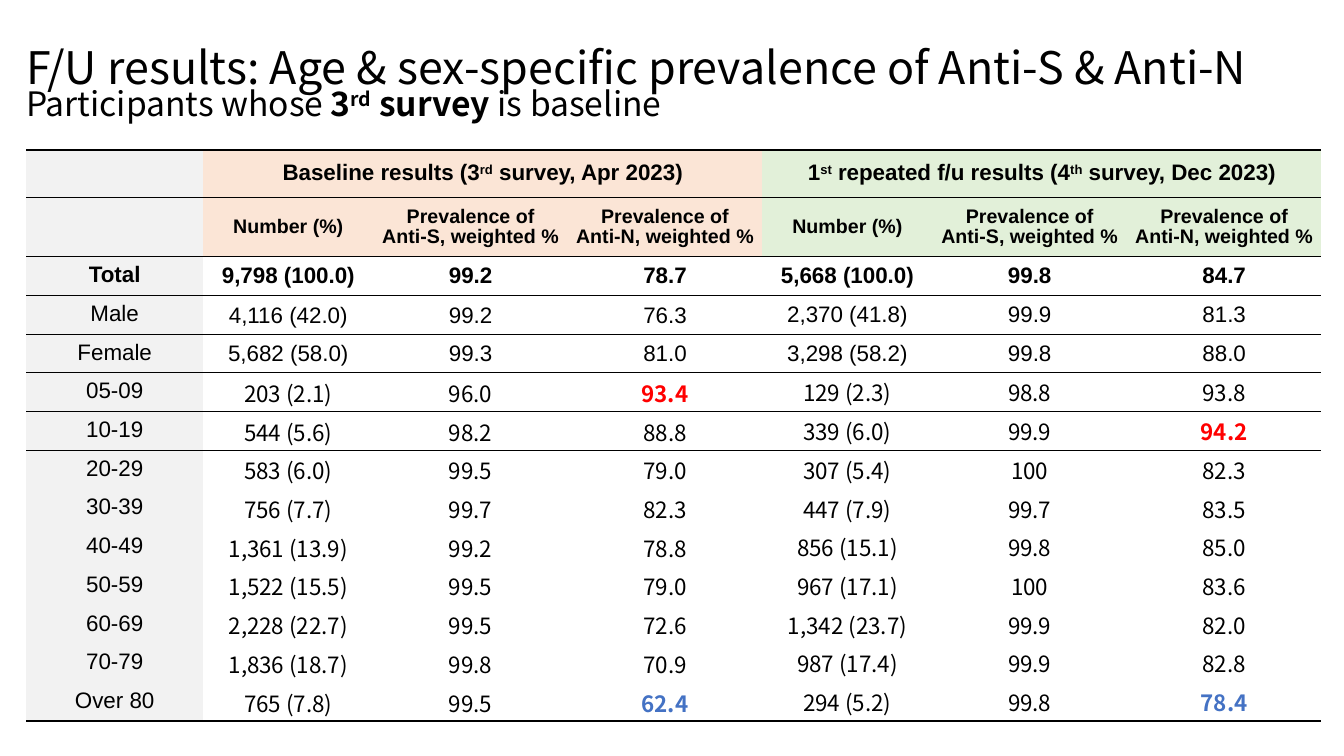
from lxml.etree import SubElement
from pptx import Presentation
from pptx.dml.color import RGBColor
from pptx.enum.text import MSO_ANCHOR, PP_ALIGN
from pptx.oxml import parse_xml
from pptx.oxml.ns import nsdecls, qn
from pptx.util import Cm, Pt

SANS, NOTO = "Arial", "Noto Sans CJK KR"
BLACK, RED, BLUE = "000000", "FF0000", "4472C4"
GREY, PEACH, GREEN = "F2F2F2", "FBE5D6", "E2F0D9"
NO_GRID_STYLE = "{2D5ABB26-0587-4C30-8999-92F81FD0307C}"

# ^ marks the start and end of a superscript
SURVEYS = [(1, "Baseline results (3^rd^ survey, Apr 2023)", PEACH),
           (4, "1^st^ repeated f/u results (4^th^ survey, Dec 2023)", GREEN)]
MEASURES = ["Number (%)", "Prevalence of\nAnti-S, weighted %",
            "Prevalence of\nAnti-N, weighted %"]
RESULTS = [
    ("Total", "9,798 (100.0)", "99.2", "78.7", "5,668 (100.0)", "99.8", "84.7"),
    ("Male", "4,116 (42.0)", "99.2", "76.3", "2,370 (41.8)", "99.9", "81.3"),
    ("Female", "5,682 (58.0)", "99.3", "81.0", "3,298 (58.2)", "99.8", "88.0"),
    ("05-09", "203 (2.1)", "96.0", "93.4", "129 (2.3)", "98.8", "93.8"),
    ("10-19", "544 (5.6)", "98.2", "88.8", "339 (6.0)", "99.9", "94.2"),
    ("20-29", "583 (6.0)", "99.5", "79.0", "307 (5.4)", "100", "82.3"),
    ("30-39", "756 (7.7)", "99.7", "82.3", "447 (7.9)", "99.7", "83.5"),
    ("40-49", "1,361 (13.9)", "99.2", "78.8", "856 (15.1)", "99.8", "85.0"),
    ("50-59", "1,522 (15.5)", "99.5", "79.0", "967 (17.1)", "100", "83.6"),
    ("60-69", "2,228 (22.7)", "99.5", "72.6", "1,342 (23.7)", "99.9", "82.0"),
    ("70-79", "1,836 (18.7)", "99.8", "70.9", "987 (17.4)", "99.9", "82.8"),
    ("Over 80", "765 (7.8)", "99.5", "62.4", "294 (5.2)", "99.8", "78.4"),
]
FIRST_RESULT, FIRST_SEX, FIRST_AGE = 2, 3, 5
HIGHLIGHTS = {(5, 3): RED, (6, 6): RED, (13, 3): BLUE, (13, 6): BLUE}
RULED_ROWS = (0, 1, 2, 3, 5, 6)
COLUMN_WIDTHS = [Cm(4.46)] + [Cm(4.29), Cm(4.9), Cm(4.9)] * 2
BODY_HEIGHT = Cm(11.7)


def colour(value):
    return RGBColor.from_string(value)


def add_text(para, text, size, font, bold=False, ink=BLACK):
    for part, words in enumerate(text.split("^")):
        for line, piece in enumerate(words.split("\n")):
            if line:
                para.add_line_break()
            if not piece:
                continue
            span = para.add_run()
            span.text = piece
            span.font.size = Pt(size)
            span.font.name = font
            span.font.bold = bold
            span.font.color.rgb = colour(ink)
            if part % 2:
                span.font._element.set("baseline", "30000")


def add_title(page):
    box = page.shapes.add_textbox(Cm(0.41), Cm(0.48), Cm(32.84), Cm(3.43))
    frame = box.text_frame
    frame.word_wrap = True
    frame.vertical_anchor = MSO_ANCHOR.MIDDLE
    para = frame.paragraphs[0]
    para.line_spacing = 0.76
    add_text(para, "F/U results: Age & sex-specific prevalence of Anti-S & Anti-N\n", 32, NOTO)
    add_text(para, "Participants whose ", 24, NOTO)
    add_text(para, "3^rd^ survey ", 24, NOTO, bold=True)
    add_text(para, "is baseline", 24, NOTO)


def fill_cell(cell, fill):
    if fill:
        cell.fill.solid()
        cell.fill.fore_color.rgb = colour(fill)
    else:
        cell.fill.background()


def write_cell(cell, text, size, font=SANS, bold=False, ink=BLACK, spacing=0.9, tight=False):
    cell.vertical_anchor = MSO_ANCHOR.MIDDLE
    cell.margin_left = cell.margin_right = Cm(0.03 if tight else 0.18)
    cell.margin_top = Cm(0.03 if tight else 0.05)
    cell.margin_bottom = Cm(0 if tight else 0.05)
    para = cell.text_frame.paragraphs[0]
    para.alignment = PP_ALIGN.CENTER
    para.line_spacing = spacing
    add_text(para, text, size, font, bold, ink)


def rule_cell(cell, side, points):
    line = parse_xml(f'<a:ln{side} {nsdecls("a")} w="{Pt(points)}"/>')
    ink = SubElement(SubElement(line, qn("a:solidFill")), qn("a:srgbClr"))
    ink.set("val", BLACK)
    properties = cell._tc.get_or_add_tcPr()
    properties.insert(len(properties.findall(qn("a:lnT"))), line)


def rule_table(table):
    last = len(table.rows) - 1
    for column in range(len(table.columns)):
        for row in RULED_ROWS:
            rule_cell(table.cell(row, column), "T", 1 if row else 1.5)
            if row:
                rule_cell(table.cell(row - 1, column), "B", 1)
        rule_cell(table.cell(last, column), "B", 1)


def add_results_table(page):
    heights = [Cm(1.19), Cm(1.49)] + [BODY_HEIGHT // len(RESULTS)] * len(RESULTS)
    holder = page.shapes.add_table(len(heights), len(COLUMN_WIDTHS), Cm(0.66), Cm(3.79),
                                   sum(COLUMN_WIDTHS), sum(heights))
    table = holder.table
    table.first_row = table.horz_banding = False
    table._tbl.tblPr.find(qn("a:tableStyleId")).text = NO_GRID_STYLE
    for column, width in zip(table.columns, COLUMN_WIDTHS):
        column.width = width
    for row, height in zip(table.rows, heights):
        row.height = height

    # Headings
    for row in range(FIRST_RESULT):
        fill_cell(table.cell(row, 0), GREY)
    for start, survey, fill in SURVEYS:
        table.cell(0, start).merge(table.cell(0, start + 2))
        write_cell(table.cell(0, start), survey, 16, bold=True)
        for column, measure in enumerate(MEASURES, start):
            fill_cell(table.cell(0, column), fill)
            fill_cell(table.cell(1, column), fill)
            write_cell(table.cell(1, column), measure, 14, bold=True)

    # Results
    for row, values in enumerate(RESULTS, FIRST_RESULT):
        for column, value in enumerate(values):
            cell = table.cell(row, column)
            ink = HIGHLIGHTS.get((row, column), BLACK)
            fill_cell(cell, None if column else GREY)
            write_cell(cell, value, 16,
                       font=NOTO if column and row >= FIRST_AGE else SANS,
                       bold=row == FIRST_RESULT or ink != BLACK,
                       ink=ink,
                       spacing=1.0 if column else 0.9,
                       tight=row >= FIRST_SEX and 1 <= column <= 3)
    rule_table(table)


def main():
    deck = Presentation()
    deck.slide_width, deck.slide_height = Cm(33.87), Cm(19.05)
    page = deck.slides.add_slide(deck.slide_layouts[6])
    add_title(page)
    add_results_table(page)
    deck.save("out.pptx")


if __name__ == "__main__":
    main()
